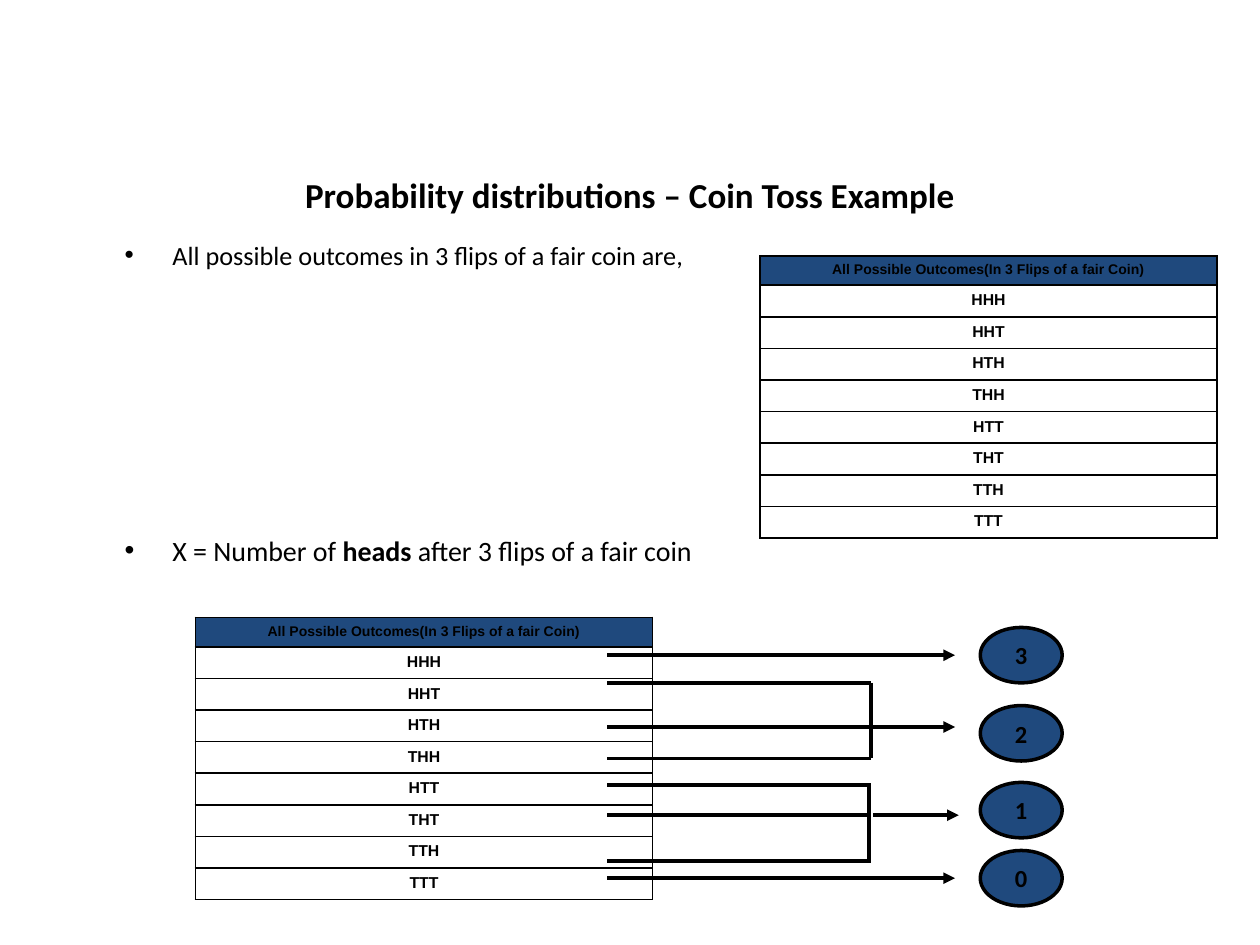
from dataclasses import dataclass

from lxml.etree import SubElement
from pptx import Presentation
from pptx.dml.color import RGBColor
from pptx.enum.shapes import MSO_CONNECTOR as CONNECTOR, MSO_SHAPE as SHAPE
from pptx.enum.text import MSO_ANCHOR as ANCHOR, PP_ALIGN as ALIGN
from pptx.oxml import parse_xml
from pptx.oxml.ns import nsdecls, qn
from pptx.util import Inches, Pt

BLACK, NAVY = "000000", "1F497D"
HEADER = "All Possible Outcomes(In 3 Flips of a fair Coin)"
OUTCOMES = ["HHH", "HHT", "HTH", "THH", "HTT", "THT", "TTH", "TTT"]
LINE_START, ARROW_LENGTH = 4.82, 0.68


@dataclass
class HeadCount:
    """A value of X, its oval, and the lines leading to it from the outcomes."""
    value: str
    oval_top: float
    line_ys: list[float]
    spine_x: float = 6.9
    arrow_x: float = 6.9


HEAD_COUNTS = [
    HeadCount("3", 4.98, [5.2]),
    HeadCount("2", 5.6, [5.42, 5.77, 6.02], spine_x=6.91),
    HeadCount("1", 6.21, [6.23, 6.47, 6.83], arrow_x=6.93),
    HeadCount("0", 6.75, [6.97]),
]


def rgb(color: str) -> RGBColor:
    return RGBColor.from_string(color)


def add_text(p, text: str, *, size: float, font: str = "Calibri",
             bold: bool = False, align=None) -> None:
    r = p.add_run()
    r.text = text
    r.font.size, r.font.name, r.font.bold = Pt(size), font, bold
    r.font.color.rgb = rgb(BLACK)
    if align is not None:
        p.alignment = align


def add_bullet(p) -> None:
    pPr = p._p.get_or_add_pPr()
    pPr.set("marL", str(Inches(0.38)))
    pPr.set("indent", str(-Inches(0.38)))
    SubElement(pPr, qn("a:buFont"), typeface="Arial")
    SubElement(pPr, qn("a:buChar"), char="•")


def add_borders(cell) -> None:
    tcPr = cell._tc.get_or_add_tcPr()
    for i, side in enumerate("LRTB"):
        tcPr.insert(i, parse_xml(
            f'<a:ln{side} {nsdecls("a")} w="{Pt(1)}"><a:solidFill>'
            f'<a:srgbClr val="{BLACK}"/></a:solidFill></a:ln{side}>'))


def add_outcomes_table(slide, left: float, top: float) -> None:
    rows = [HEADER, *OUTCOMES]
    heights = [0.23] + [0.24] * len(OUTCOMES)
    table = slide.shapes.add_table(len(rows), 1, Inches(left), Inches(top),
                                   Inches(3.63), Inches(sum(heights))).table
    table.first_row = table.horz_banding = False
    for i, (text, height) in enumerate(zip(rows, heights)):
        table.rows[i].height = Inches(height)
        cell = table.cell(i, 0)
        if i == 0:
            cell.fill.solid()
            cell.fill.fore_color.rgb = rgb(NAVY)
        else:
            cell.fill.background()
        add_borders(cell)
        add_text(cell.text_frame.paragraphs[0], text, size=9 if i else 8,
                 font="Arial", bold=True, align=ALIGN.CENTER)


def add_line(slide, x1: float, y1: float, x2: float, y2: float,
             arrow: bool = False) -> None:
    line = slide.shapes.add_connector(CONNECTOR.STRAIGHT, Inches(x1), Inches(y1),
                                      Inches(x2), Inches(y2))
    line.line.color.rgb = rgb(BLACK)
    line.line.width = Pt(2.25)
    if arrow:
        SubElement(line.line._get_or_add_ln(), qn("a:tailEnd"), type="triangle")
    SubElement(line._element.spPr, qn("a:effectLst"))


def add_oval(slide, text: str, top: float) -> None:
    sp = slide.shapes.add_shape(SHAPE.OVAL, Inches(7.78), Inches(top),
                                Inches(0.65), Inches(0.44))
    sp.shadow.inherit = False
    sp.fill.solid()
    sp.fill.fore_color.rgb = rgb(NAVY)
    sp.line.color.rgb = rgb(BLACK)
    sp.line.width = Pt(2)
    tf = sp.text_frame
    tf.vertical_anchor = ANCHOR.MIDDLE
    add_text(tf.paragraphs[0], text, size=14, bold=True, align=ALIGN.CENTER)


def add_head_count(slide, count: HeadCount) -> None:
    add_oval(slide, count.value, count.oval_top)
    ys = count.line_ys
    if len(ys) == 1:
        add_line(slide, LINE_START, ys[0], 7.58, ys[0], arrow=True)
        return
    for y in ys:
        add_line(slide, LINE_START, y, 6.91, y)
    add_line(slide, count.spine_x, ys[0], count.spine_x, ys[-1])
    add_line(slide, count.arrow_x, ys[1], count.arrow_x + ARROW_LENGTH, ys[1],
             arrow=True)


def add_title(slide) -> None:
    title = slide.shapes.title
    title.left, title.top = Inches(0.69), Inches(1.24)
    title.width, title.height = Inches(8.62), Inches(0.61)
    title.text_frame.vertical_anchor = ANCHOR.MIDDLE
    add_text(title.text_frame.paragraphs[0],
             "Probability distributions – Coin Toss Example",
             size=20, bold=True, align=ALIGN.CENTER)


def add_body(slide) -> None:
    tf = slide.shapes.add_textbox(Inches(0.89), Inches(1.85),
                                  Inches(8.62), Inches(5.1)).text_frame
    tf.word_wrap = True
    p = tf.paragraphs[0]
    add_bullet(p)
    add_text(p, "All possible outcomes in 3 flips of a fair coin are,", size=15)
    p = tf.add_paragraph()
    p.space_before = Pt(150)
    add_bullet(p)
    add_text(p, "X = Number of ", size=16)
    add_text(p, "heads", size=16, bold=True)
    add_text(p, " after 3 flips of a fair coin", size=16)


def main() -> None:
    prs = Presentation()
    prs.slide_width, prs.slide_height = Inches(10), Inches(7.5)
    slide = prs.slides.add_slide(prs.slide_layouts[5])
    add_title(slide)
    add_body(slide)
    add_outcomes_table(slide, 6.03, 2.03)
    add_outcomes_table(slide, 1.55, 4.9)
    for count in HEAD_COUNTS:
        add_head_count(slide, count)
    prs.save("out.pptx")


if __name__ == "__main__":
    main()
